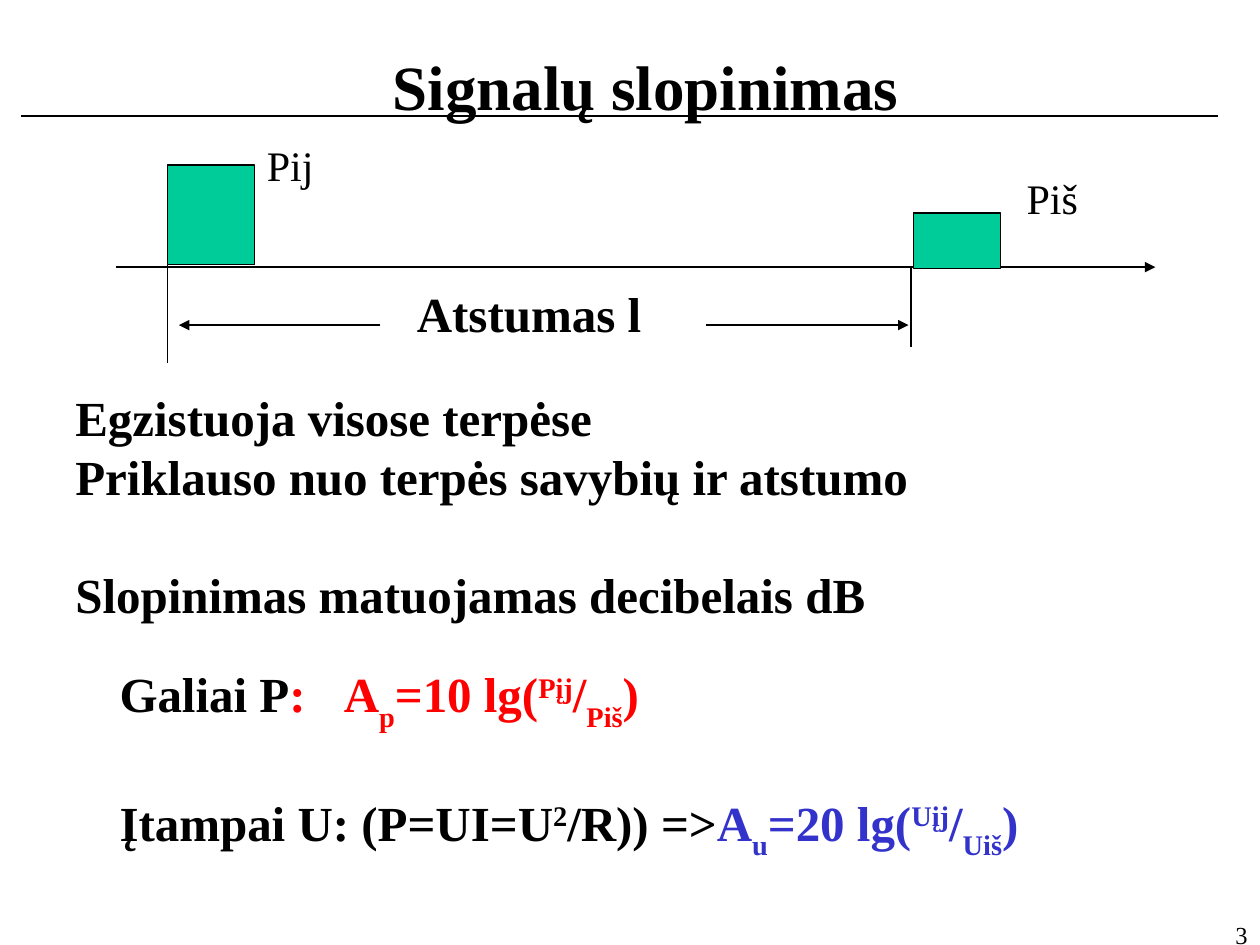
from pptx import Presentation
from pptx.dml.color import RGBColor
from pptx.enum.shapes import MSO_CONNECTOR, MSO_SHAPE
from pptx.enum.text import PP_ALIGN
from pptx.oxml.ns import qn
from pptx.util import Inches, Pt
from lxml import etree

STRAIGHT = MSO_CONNECTOR.STRAIGHT
RECTANGLE = MSO_SHAPE.RECTANGLE
LEFT, CENTER, RIGHT = PP_ALIGN.LEFT, PP_ALIGN.CENTER, PP_ALIGN.RIGHT

FONT = "Times New Roman"
BLACK, GREEN, RED, BLUE = "000000", "00CC99", "FF0000", "3333CC"
SUBSCRIPT, SUPERSCRIPT = -30000, 30000
BODY_SIZE = 28
LINE_GAP = 33.6  # one empty body line
AXIS_Y, ARROW_Y = 2.12, 2.58


def color(hex_string):
    return RGBColor.from_string(hex_string)


def add_text(page, place, paragraphs, size=BODY_SIZE, bold=True, align=LEFT,
             wrap=True, gaps=(), tab=None):
    """Each paragraph is a string or a list of (text, color, baseline) spans."""
    box = page.shapes.add_textbox(*map(Inches, place))
    frame = box.text_frame
    frame.word_wrap = wrap
    for index, spans in enumerate(paragraphs):
        para = frame.paragraphs[0] if index == 0 else frame.add_paragraph()
        if tab:
            tabs = etree.SubElement(para._p.get_or_add_pPr(), qn("a:tabLst"))
            etree.SubElement(tabs, qn("a:tab"), pos=str(Inches(tab)), algn="l")
        para.alignment = align
        if index in gaps:
            para.space_before = Pt(LINE_GAP)
        if isinstance(spans, str):
            spans = [(spans, BLACK, 0)]
        for text, hex_string, baseline in spans:
            span = para.add_run()
            span.text = text
            span.font.name = FONT
            span.font.size = Pt(size)
            span.font.bold = bold
            span.font.color.rgb = color(hex_string)
            if baseline:
                span._r.get_or_add_rPr().set("baseline", str(baseline))


def add_line(page, start, end, arrow=False):
    line = page.shapes.add_connector(STRAIGHT, *map(Inches, start + end))
    line.line.color.rgb = color(BLACK)
    line.line.width = Pt(0.75)
    if arrow:
        etree.SubElement(line.line._get_or_add_ln(), qn("a:tailEnd"), type="triangle")
    etree.SubElement(line._element.spPr, qn("a:effectLst"))


def add_pulse(page, left, top, height):
    pulse = page.shapes.add_shape(
        RECTANGLE, Inches(left), Inches(top), Inches(0.69), Inches(height))
    pulse.shadow.inherit = False
    pulse.fill.solid()
    pulse.fill.fore_color.rgb = color(GREEN)
    pulse.line.color.rgb = color(BLACK)
    pulse.line.width = Pt(0.75)


def attenuation(letter, index, factor, hex_string):
    """Spans of a formula such as Ap=10 lg(Pįj/Piš)."""
    return [
        ("A", hex_string, 0),
        (index, hex_string, SUBSCRIPT),
        (f"={factor} lg(", hex_string, 0),
        (f"{letter}įj", hex_string, SUPERSCRIPT),
        ("/", hex_string, 0),
        (f"{letter}iš", hex_string, SUBSCRIPT),
        (")", hex_string, 0),
    ]


def add_diagram(page):
    # Time axis with the input and output pulses
    add_line(page, (0.92, AXIS_Y), (9.17, AXIS_Y), arrow=True)
    add_pulse(page, 1.33, 1.31, 0.79)
    add_pulse(page, 7.25, 1.69, 0.44)
    add_text(page, (2.02, 1.06, 0.8, 0.5), ["Pij"], size=24, bold=False)
    add_text(page, (8.05, 1.32, 0.8, 0.51), ["Piš"], size=24, bold=False)

    # Distance between the pulses
    add_line(page, (1.33, 2.1), (1.33, 2.88))
    add_line(page, (7.23, AXIS_Y), (7.23, 2.75))
    add_line(page, (5.6, ARROW_Y), (7.21, ARROW_Y), arrow=True)
    add_line(page, (3.02, ARROW_Y), (1.42, ARROW_Y), arrow=True)
    add_text(page, (3.21, 2.2, 1.99, 0.57), ["Atstumas l"], wrap=False)


def main():
    deck = Presentation()
    deck.slide_width, deck.slide_height = Inches(10), Inches(7.5)
    page = deck.slides.add_slide(deck.slide_layouts[6])

    # Title and rule
    add_line(page, (0.17, 0.92), (9.67, 0.92))
    add_text(page, (1.04, 0.33, 8.17, 0.7), ["Signalų slopinimas"],
             size=36, align=CENTER)

    add_diagram(page)

    # Statements
    add_text(page, (0.5, 3.03, 8.85, 1.97), [
        "Egzistuoja visose terpėse",
        "Priklauso nuo terpės savybių ir atstumo",
        "Slopinimas matuojamas decibelais dB",
    ], gaps=(2,))

    # Formulas for power and voltage
    power = [("Galiai P", BLACK, 0), (":\t", RED, 0)]
    voltage = [("Įtampai U: (P=UI=U", BLACK, 0), ("2", BLACK, SUPERSCRIPT),
               ("/R)) =>", BLACK, 0)]
    add_text(page, (0.85, 5.22, 8.35, 1.51), [
        power + attenuation("P", "p", 10, RED),
        voltage + attenuation("U", "u", 20, BLUE),
    ], gaps=(1,), tab=1.78)

    # Page number
    add_text(page, (7.92, 7.25, 2.08, 0.25), ["3"], size=14, bold=False, align=RIGHT)

    deck.save("out.pptx")


if __name__ == "__main__":
    main()
